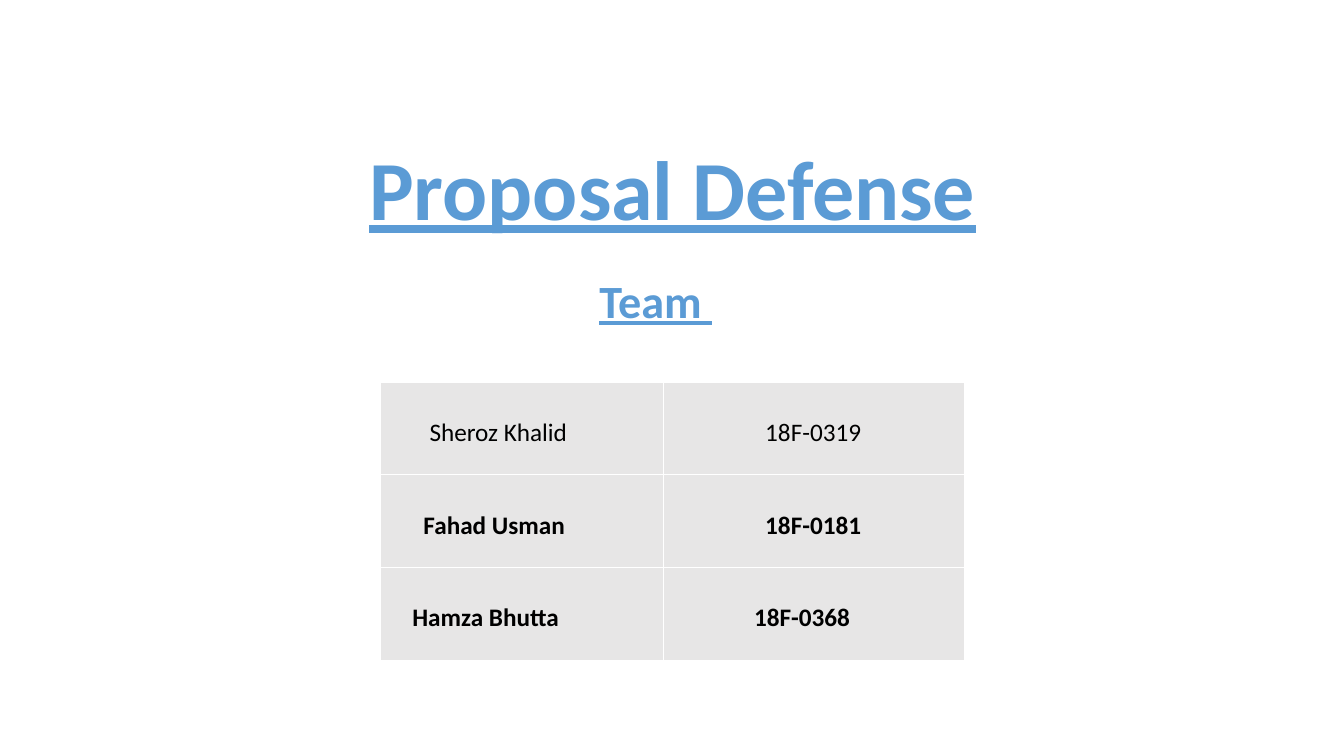
from lxml.etree import SubElement
from pptx import Presentation
from pptx.dml.color import RGBColor
from pptx.enum.text import MSO_ANCHOR, PP_ALIGN
from pptx.oxml.ns import qn
from pptx.util import Inches, Pt

FONT = "Calibri"
BLUE = RGBColor(0x5B, 0x9B, 0xD5)
BLACK = RGBColor(0, 0, 0)
GREY = RGBColor(0xE7, 0xE6, 0xE6)
WHITE = RGBColor(0xFF, 0xFF, 0xFF)

# text, box, size, line spacing, anchor, bottom margin
HEADINGS = [
    ("Proposal Defense", (1.67, 0.73, 10, 2.61), 60, 0.9, MSO_ANCHOR.BOTTOM, 0.97),
    ("Team ", (3.76, 2.76, 5.49, 0.59), 33, 0.8, MSO_ANCHOR.TOP, 0.05),
]
# name, roll number, bold, indents of both cells
TEAM = [
    ("Sheroz Khalid", "18F-0319", False, (0.49, 1.01)),
    ("Fahad Usman", "18F-0181", True, (0.43, 1.01)),
    ("Hamza Bhutta", "18F-0368", True, (0.32, 0.9)),
]
TABLE_LEFT, TABLE_TOP = 3.77, 3.79
COL_WIDTHS = (2.81, 2.99)
ROW_HEIGHT = 0.92


def style(p, size, color, bold, underline=False):
    """Format every run of a paragraph."""
    for r in p.runs:
        font = r.font
        font.name, font.size = FONT, Pt(size)
        font.bold, font.underline = bold, underline
        font.color.rgb = color


def add_heading(slide, text, box, size, spacing, anchor, bottom):
    """Add a centred, underlined heading."""
    tf = slide.shapes.add_textbox(*map(Inches, box)).text_frame
    tf.word_wrap = True
    tf.vertical_anchor = anchor
    tf.margin_bottom = Inches(bottom)
    p = tf.paragraphs[0]
    p.text = text
    p.alignment = PP_ALIGN.CENTER
    p.line_spacing = spacing
    style(p, size, BLUE, True, True)


def add_borders(cell):
    """Draw a thin white line on each side of a cell."""
    tc_pr = cell._tc.get_or_add_tcPr()
    for side in ("lnL", "lnR", "lnT", "lnB"):
        ln = SubElement(tc_pr, qn(f"a:{side}"), w=str(Pt(1)))
        fill = SubElement(ln, qn("a:solidFill"))
        SubElement(fill, qn("a:srgbClr"), val=str(WHITE))


def fill_cell(cell, text, bold, indent):
    """Write and format one table cell."""
    cell.margin_left, cell.margin_top = Inches(indent), Inches(0.35)
    cell.text_frame.text = text
    style(cell.text_frame.paragraphs[0], 18, BLACK, bold)
    add_borders(cell)
    cell.fill.solid()
    cell.fill.fore_color.rgb = GREY


def add_team(slide):
    """Add the table of team members."""
    table = slide.shapes.add_table(
        len(TEAM), len(COL_WIDTHS), Inches(TABLE_LEFT), Inches(TABLE_TOP),
        Inches(sum(COL_WIDTHS)), Inches(ROW_HEIGHT * len(TEAM))).table
    table.first_row = table.horz_banding = False
    for column, width in zip(table.columns, COL_WIDTHS):
        column.width = Inches(width)
    for row, (name, number, bold, indents) in zip(table.rows, TEAM):
        row.height = Inches(ROW_HEIGHT)
        for cell, text, indent in zip(row.cells, (name, number), indents):
            fill_cell(cell, text, bold, indent)


prs = Presentation()
prs.slide_width, prs.slide_height = Inches(13.33), Inches(7.5)
slide = prs.slides.add_slide(prs.slide_layouts[6])
for heading in HEADINGS:
    add_heading(slide, *heading)
add_team(slide)
prs.save("out.pptx")
